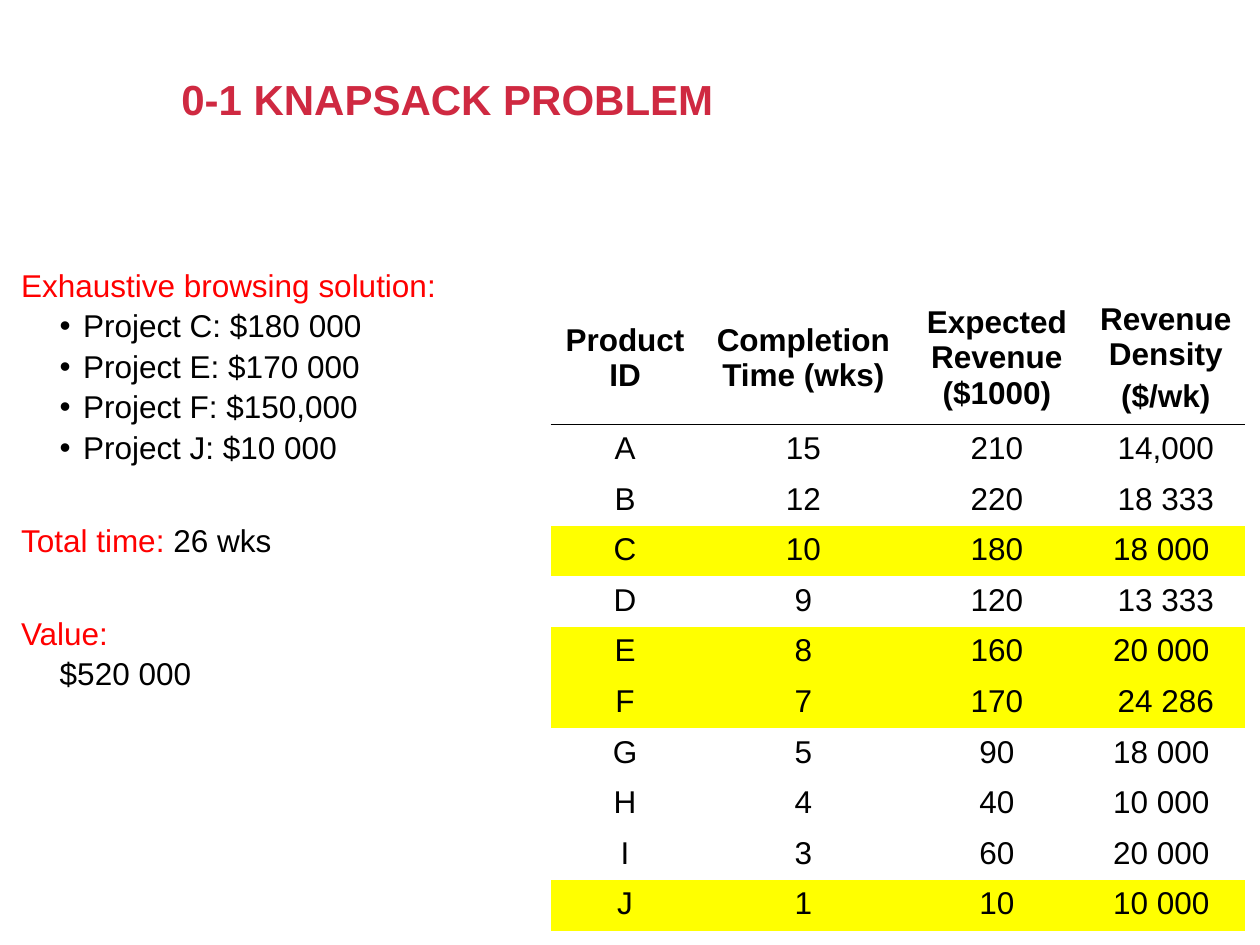
from pptx import Presentation
from pptx import oxml
from pptx import util as u
from pptx.dml import color
from pptx.enum import text
from pptx.oxml import ns

COLORS = {"title": "CF2941", "label": "FF0000", "body": "000000", "picked": "FFFF00"}
FONT = "Arial"
NO_GRID_STYLE = "{2D5ABB26-0587-4C30-8999-92F81FD0307C}"
LABEL_INDENT, ITEM_INDENT, BULLET_HANG = 0.17, 0.95, 0.47

CHOSEN = ["Project C: $180 000", "Project E: $170 000",
          "Project F: $150,000", "Project J: $10 000"]
HEADERS = ["Product ID", "Completion Time (wks)",
           "Expected Revenue ($1000)", "Revenue Density\n($/wk)"]
PRODUCTS = [
    ("A", "15", "210", "14,000"),
    ("B", "12", "220", "18 333"),
    ("C", "10", "180", "18 000 "),
    ("D", "9", "120", "13 333"),
    ("E", "8", "160", "20 000 "),
    ("F", "7", "170", "24 286"),
    ("G", "5", "90", "18 000 "),
    ("H", "4", "40", "10 000 "),
    ("I", "3", "60", "20 000 "),
    ("J", "1", "10", "10 000 "),
]
PICKED = {"C", "E", "F", "J"}
COLUMN_WIDTHS = [3, 4.19, 3.61, 3.2]
HEADER_HEIGHT, ROW_HEIGHT = 2.69, 1.02


def rgb(name):
    """Return the named palette colour."""
    return color.RGBColor.from_string(COLORS[name])


def style_font(font, name, size=18, bold=False):
    """Set typeface, size, weight and colour."""
    font.name, font.size, font.bold = FONT, u.Pt(size), bold
    font.color.rgb = rgb(name)


def place(box, left, top, width, height):
    """Position a box by lengths in centimetres."""
    box.left, box.top, box.width, box.height = map(u.Cm, (left, top, width, height))


def add_title(page):
    """Fill the title placeholder."""
    box = page.shapes.title
    place(box, 3.4, 1.02, 20.27, 2.08)
    box.text_frame.text = "0-1 KNAPSACK PROBLEM"
    box.text_frame.vertical_anchor = text.MSO_ANCHOR.MIDDLE
    box.text_frame.auto_size = text.MSO_AUTO_SIZE.NONE
    para = box.text_frame.paragraphs[0]
    para.alignment, para.line_spacing = text.PP_ALIGN.LEFT, 0.9
    style_font(para.font, "title", 24, True)


def set_indent(para, left, bullet=False):
    """Set the left indent in centimetres, with or without a hanging bullet."""
    hang = BULLET_HANG if bullet else 0
    props = para._p.get_or_add_pPr()
    props.set("marL", str(u.Cm(left + hang)))
    props.set("indent", str(-u.Cm(hang)))
    mark = '<a:buChar %s char="•"/>' if bullet else "<a:buNone %s/>"
    props.append(oxml.parse_xml(mark % ns.nsdecls("a")))


def add_label(para, label, value="", before=27):
    """Write a red label and an optional black value."""
    para.line_spacing, para.space_before = 1.2, u.Pt(before)
    set_indent(para, LABEL_INDENT)
    for words, name in ((label, "label"), (value, "body")):
        if words:
            span = para.add_run()
            span.text = words
            style_font(span.font, name)


def add_item(para, words, bullet=True):
    """Write one indented black line."""
    para.text, para.level = words, 1
    para.line_spacing, para.space_before = 0.9, u.Pt(3.8)
    set_indent(para, ITEM_INDENT, bullet)
    style_font(para.font, "body")


def add_solution(page):
    """Fill the body placeholder with the solution."""
    box = page.placeholders[1]
    place(box, 0, 5.08, 21.89, 12.09)
    frame = box.text_frame
    frame.auto_size = text.MSO_AUTO_SIZE.NONE
    add_label(frame.paragraphs[0], "Exhaustive browsing solution:", before=1.2)
    for project in CHOSEN:
        add_item(frame.add_paragraph(), project)
    add_label(frame.add_paragraph(), "Total time: ", "26 wks")
    add_label(frame.add_paragraph(), "Value:")
    add_item(frame.add_paragraph(), "$520 000", bullet=False)


def underline_cell(cell):
    """Draw a thin black border under a cell."""
    cell._tc.get_or_add_tcPr().append(oxml.parse_xml(
        f'<a:lnB {ns.nsdecls("a")} w="{u.Pt(1)}"><a:solidFill>'
        f'<a:srgbClr val="{COLORS["body"]}"/></a:solidFill></a:lnB>'))


def fill_cell(cell, words, header, picked):
    """Write and format one table cell."""
    cell.text = words
    if header:
        cell.vertical_anchor = text.MSO_ANCHOR.MIDDLE
        underline_cell(cell)
    if picked:
        cell.fill.solid()
        cell.fill.fore_color.rgb = rgb("picked")
    else:
        cell.fill.background()
    for para in cell.text_frame.paragraphs:
        para.alignment, para.space_before = text.PP_ALIGN.CENTER, u.Pt(3.6)
        style_font(para.font, "body", bold=header)


def add_products(page):
    """Add the product table with the chosen rows highlighted."""
    rows = [HEADERS, *PRODUCTS]
    heights = [HEADER_HEIGHT] + [ROW_HEIGHT] * len(PRODUCTS)
    frame = page.shapes.add_table(
        len(rows), len(HEADERS), u.Cm(11.1), u.Cm(5.87),
        u.Cm(sum(COLUMN_WIDTHS)), u.Cm(sum(heights)))
    table = frame.table
    table.first_row = table.horz_banding = False
    table._tbl.tblPr.find(ns.qn("a:tableStyleId")).text = NO_GRID_STYLE
    for column, width in zip(table.columns, COLUMN_WIDTHS):
        column.width = u.Cm(width)
    for index, (row, values) in enumerate(zip(table.rows, rows)):
        row.height = u.Cm(heights[index])
        for cell, words in zip(row.cells, values):
            fill_cell(cell, words, index == 0, values[0] in PICKED)


def main():
    """Build and save the knapsack slide."""
    deck = Presentation()
    deck.slide_width, deck.slide_height = u.Cm(25.4), u.Cm(19.05)
    page = deck.slides.add_slide(deck.slide_layouts[1])
    add_solution(page)
    add_products(page)
    add_title(page)
    deck.save("out.pptx")


if __name__ == "__main__":
    main()
